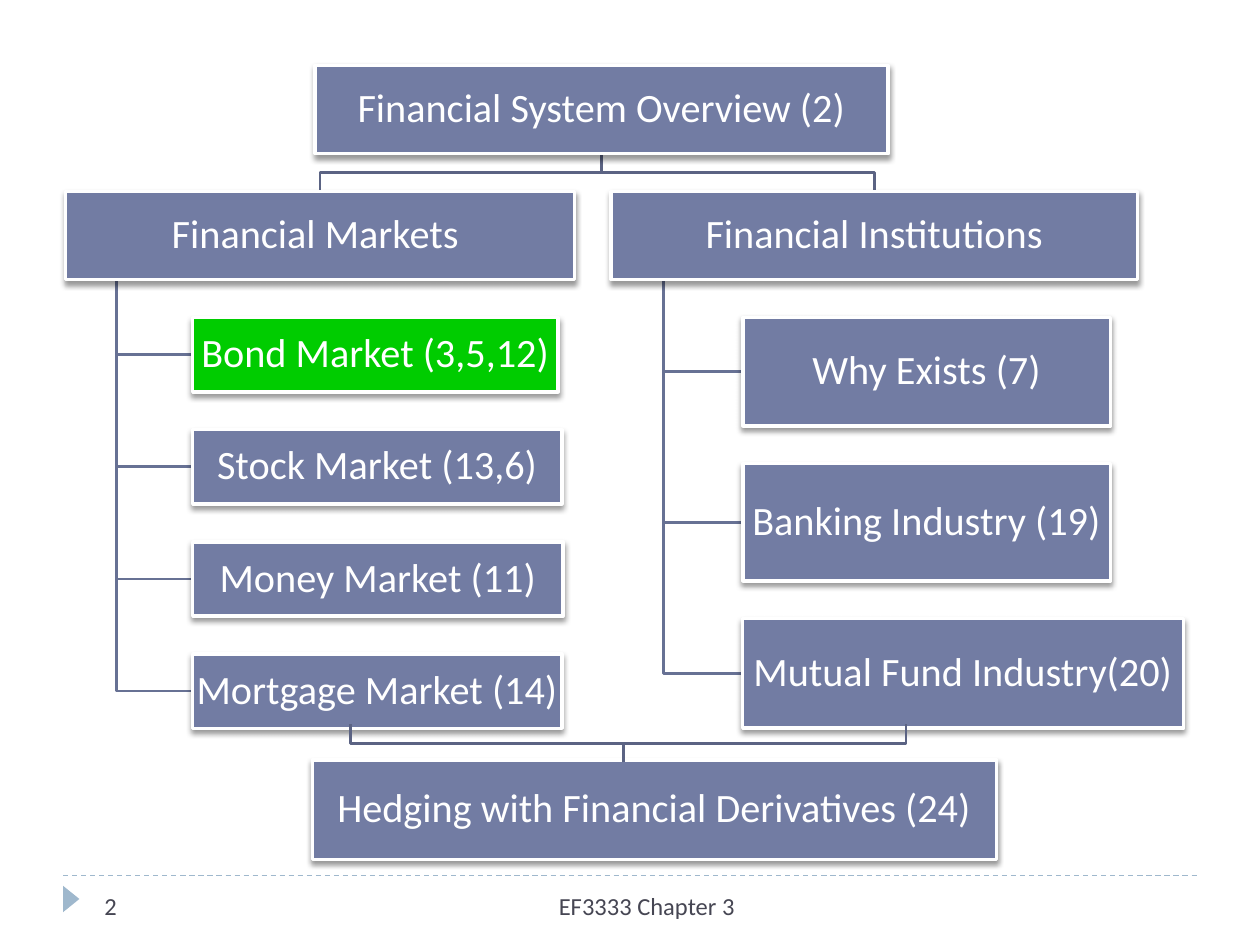
from lxml.etree import SubElement
from pptx import Presentation
from pptx.dml.color import RGBColor
from pptx.enum.dml import MSO_LINE
from pptx.enum.shapes import MSO_CONNECTOR, MSO_SHAPE
from pptx.enum.text import MSO_ANCHOR, PP_ALIGN
from pptx.oxml.ns import qn
from pptx.util import Inches, Pt

SLATE, GREEN, WHITE = "727CA3", "00CC00", "FFFFFF"
FORK, TRUNK, ACCENT, INK = "5B6383", "677194", "9FB8CD", "464653"

# Boxes: text, left, top, width, height
overview = ("Financial System Overview (2)", 2.5, 0.52, 4.55, 0.7)
hedging = ("Hedging with Financial Derivatives (24)", 2.48, 6.03, 5.43, 0.79)

# Topics: text, width, height, fill
branches = [
    {
        "title": "Financial Markets ", "left": 0.52, "width": 4.04,
        "topics": [
            ("Bond Market (3,5,12)", 2.9, 0.59, GREEN),
            ("Stock Market (13,6)", 2.93, 0.59, SLATE),
            ("Money Market (11)", 2.94, 0.59, SLATE),
            ("Mortgage Market (14)", 2.93, 0.59, SLATE),
        ],
    },
    {
        "title": "Financial Institutions", "left": 4.85, "width": 4.18,
        "topics": [
            ("Why Exists (7)", 2.92, 0.86, SLATE),
            ("Banking Industry (19)", 2.92, 0.93, SLATE),
            ("Mutual Fund Industry(20)", 3.5, 0.87, SLATE),
        ],
    },
]
# Footers: text, left, width, alignment
footers = [
    ("EF3333 Chapter 3", 3.23, 2.7, PP_ALIGN.RIGHT),
    ("2", 0.73, 2.17, PP_ALIGN.LEFT),
]
GAP = 0.3
LEVEL_HEIGHT = 0.7

prs = Presentation()
prs.slide_width, prs.slide_height = Inches(10), Inches(7.5)
shapes = prs.slides.add_slide(prs.slide_layouts[6]).shapes


def rgb(color):
    return RGBColor.from_string(color)


def write(frame, text, size=23, color=WHITE, align=PP_ALIGN.CENTER,
          anchor=MSO_ANCHOR.MIDDLE, inset=None, spacing=None):
    frame.word_wrap = True
    frame.vertical_anchor = anchor
    if inset is not None:
        frame.margin_left = frame.margin_right = Inches(inset)
        frame.margin_top = frame.margin_bottom = Inches(inset)
    paragraph = frame.paragraphs[0]
    paragraph.alignment = align
    paragraph.line_spacing = spacing
    run = paragraph.add_run()
    run.text = text
    run.font.size = Pt(size)
    run.font.name = "Calibri"
    run.font.color.rgb = rgb(color)


def add_drop_shadow(shape):
    shape.shadow.inherit = False
    effects = shape._element.spPr.find(qn("a:effectLst"))
    outer = SubElement(effects, qn("a:outerShdw"), blurRad=str(Pt(3)),
                       dist=str(Pt(2)), dir="5400000", rotWithShape="0")
    black = SubElement(outer, qn("a:srgbClr"), val="000000")
    SubElement(black, qn("a:alpha"), val="40000")


def add_box(text, left, top, width, height, fill=SLATE):
    box = shapes.add_shape(MSO_SHAPE.RECTANGLE, Inches(left), Inches(top),
                           Inches(width), Inches(height))
    box.fill.solid()
    box.fill.fore_color.rgb = rgb(fill)
    box.line.color.rgb = rgb(WHITE)
    box.line.width = Pt(2)
    add_drop_shadow(box)
    write(box.text_frame, text, inset=0.02, spacing=0.9)


def add_elbow(points, color):
    """Draw an open line with square corners through the points."""
    start, *rest = [(Inches(x), Inches(y)) for x, y in points]
    builder = shapes.build_freeform(*start)
    builder.add_line_segments(rest, close=False)
    elbow = builder.convert_to_shape()
    elbow.fill.background()
    elbow.line.color.rgb = rgb(color)
    elbow.line.width = Pt(1.5)
    elbow.shadow.inherit = False


def add_fork(stem_x, stem_y, arm_xs, arm_y):
    middle = (stem_y + arm_y) / 2
    for arm_x in arm_xs:
        add_elbow([(stem_x, stem_y), (stem_x, middle),
                   (arm_x, middle), (arm_x, arm_y)], FORK)


# Footer rule and marker
rule = shapes.add_connector(MSO_CONNECTOR.STRAIGHT, Inches(0.5), Inches(6.95),
                            Inches(9.5), Inches(6.95))
rule.line.color.rgb = rgb(ACCENT)
rule.line.width = Pt(0.75)
rule.line.dash_style = MSO_LINE.DASH
SubElement(rule._element.spPr, qn("a:effectLst"))

marker = shapes.add_shape(MSO_SHAPE.ISOSCELES_TRIANGLE, Inches(0.46),
                          Inches(7.07), Inches(0.21), Inches(0.13))
marker.rotation = 90
marker.fill.solid()
marker.fill.fore_color.rgb = rgb(ACCENT)
marker.line.fill.background()
marker.shadow.inherit = False

# Tree: lines first, so that the boxes cover their ends
branch_top = overview[2] + LEVEL_HEIGHT + GAP
branch_bottom = branch_top + LEVEL_HEIGHT
boxes = [overview]
for branch in branches:
    left, width = branch["left"], branch["width"]
    boxes.append((branch["title"], left, branch_top, width, LEVEL_HEIGHT))
    trunk_x, topic_left = left + width * 0.1, left + width * 0.25
    top = branch_bottom + GAP
    for text, topic_width, height, fill in branch["topics"]:
        middle = top + height / 2
        add_elbow([(trunk_x, branch_bottom), (trunk_x, middle),
                   (topic_left, middle)], TRUNK)
        boxes.append((text, topic_left, top, topic_width, height, fill))
        top += height + GAP

add_fork(overview[1] + overview[3] / 2, branch_top - GAP,
         [branch["left"] + branch["width"] / 2 for branch in branches],
         branch_top)
for box in boxes + [hedging]:
    add_box(*box)
add_fork(4.95, 6.05, [2.78, 7.19], 5.75)

for text, left, width, align in footers:
    footer = shapes.add_textbox(Inches(left), Inches(7.02), Inches(width), Inches(0.4))
    write(footer.text_frame, text, size=14, color=INK, align=align,
          anchor=MSO_ANCHOR.TOP)

prs.save("out.pptx")
